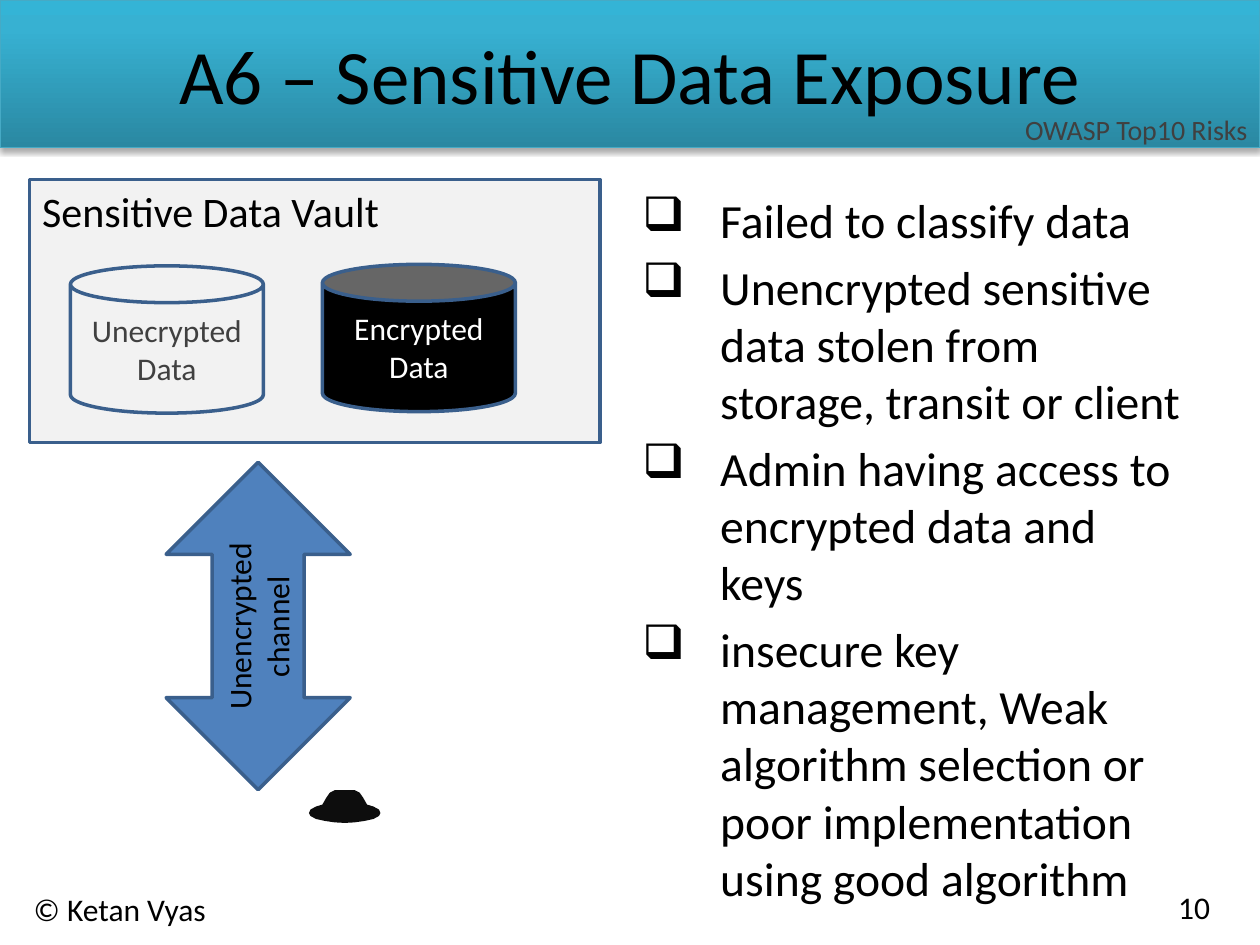
from copy import deepcopy
from dataclasses import dataclass

from lxml import etree
from pptx import Presentation
from pptx.dml.color import RGBColor
from pptx.enum import shapes, text
from pptx.oxml import ns
from pptx.util import Cm, Pt

FONT = "Calibri"
BLACK, GRAY, WHITE = "000000", "404040", "FFFFFF"
OUTLINE = "3A5F8C"
HAT = "0D0D0D"
CENTER, RIGHT = text.PP_ALIGN.CENTER, text.PP_ALIGN.RIGHT


@dataclass
class Box:
    left: float
    top: float
    width: float
    height: float

    def lengths(self) -> tuple:
        return Cm(self.left), Cm(self.top), Cm(self.width), Cm(self.height)


@dataclass
class Store:
    label: str
    box: Box
    fill: str | None
    color: str


@dataclass
class Label:
    lines: list[str]
    box: Box
    size: float = 18
    color: str = BLACK
    align: text.PP_ALIGN | None = None
    rotation: float = 0


STORES = [
    Store("Unecrypted Data", Box(1.42, 5.36, 3.89, 2.97), None, GRAY),
    Store("Encrypted Data", Box(6.5, 5.33, 3.89, 2.97), BLACK, WHITE),
]
LABELS = [
    Label(["© Ketan Vyas"], Box(0.43, 17.81, 6.99, 1.02)),
    Label(["10"], Box(23.5, 17.78, 1.7, 1.02)),
    Label(["Sensitive Data Vault"], Box(0.6, 3.62, 8, 1.27), size=24),
    Label(["Unencrypted", "channel"], Box(3.05, 11.73, 4.32, 1.8),
          align=CENTER, rotation=270),
    Label(["OWASP Top10 Risks"], Box(0, 2.15, 25.4, 0.94), size=16,
          color=GRAY, align=RIGHT),
]
RISKS = [
    "Failed to classify data",
    "Unencrypted sensitive data stolen from storage, transit or client",
    "Admin having access to encrypted data and keys",
    "insecure key management, Weak algorithm selection or poor "
    "implementation using good algorithm",
]
BANNER_STOPS = [(0, "2A88A2"), (0.8, "37B1D2"), (1, "34B4D6")]
HAT_CENTER = 6.95
# Right half of the hat from crown to brim: offset from its centre, and top
HAT_PROFILE = [
    (0, 15.97), (0.1, 15.93), (0.2, 15.93), (0.3, 15.98), (0.37, 16.08),
    (0.45, 16.22), (0.58, 16.26), (0.69, 16.32), (0.72, 16.39),
    (0.69, 16.45), (0.58, 16.51), (0.4, 16.55), (0.2, 16.58), (0, 16.59),
]


def rgb(value: str) -> RGBColor:
    return RGBColor.from_string(value)


def paint(shape, fill: str | None, line: str | None = None, width: float = 2) -> None:
    shape.shadow.inherit = False
    if fill:
        shape.fill.solid()
        shape.fill.fore_color.rgb = rgb(fill)
    else:
        shape.fill.background()
    if line:
        shape.line.color.rgb = rgb(line)
        shape.line.width = Pt(width)
    else:
        shape.line.fill.background()


def add_bullet(paragraph, symbol: str, indent: Cm) -> None:
    properties = paragraph._p.get_or_add_pPr()
    properties.set("marL", str(indent))
    properties.set("indent", str(-indent))
    etree.SubElement(properties, ns.qn("a:buChar"), char=symbol)


def write(shape, lines: list[str], *, size: float = 18, color: str = BLACK,
          align=None, anchor=text.MSO_ANCHOR.TOP, bullet: str | None = None,
          gap: float = 0) -> None:
    frame = shape.text_frame
    frame.word_wrap = True
    frame.auto_size = text.MSO_AUTO_SIZE.NONE
    frame.vertical_anchor = anchor
    for index, line in enumerate(lines):
        paragraph = frame.add_paragraph() if index else frame.paragraphs[0]
        paragraph.text = line
        if index and gap:
            paragraph.space_before = Pt(gap)
        if bullet:
            add_bullet(paragraph, bullet, Cm(1.57))
        if align is not None:
            paragraph.alignment = align
        paragraph.font.name = FONT
        paragraph.font.size = Pt(size)
        paragraph.font.color.rgb = rgb(color)


def add_banner(slide) -> None:
    """Draw the gradient band with its soft shadow, behind the title."""
    banner = slide.shapes.add_shape(
        shapes.MSO_SHAPE.RECTANGLE, *Box(0, 0, 25.4, 2.97).lengths())
    paint(banner, None, "46AAC5", 0.75)
    banner.fill.gradient()
    banner.fill.gradient_angle = 90
    stop_list = banner._element.spPr.find(".//" + ns.qn("a:gsLst"))
    stop_list.append(deepcopy(stop_list[0]))
    for stop, (position, color) in zip(banner.fill.gradient_stops, BANNER_STOPS):
        stop.position = position
        stop.color.rgb = rgb(color)
    effects = banner._element.spPr.find(ns.qn("a:effectLst"))
    shadow = etree.SubElement(
        effects, ns.qn("a:outerShdw"), blurRad=str(Pt(3.1)), dist=str(Pt(1.8)),
        dir="5400000", rotWithShape="0")
    shade = etree.SubElement(shadow, ns.qn("a:srgbClr"), val=BLACK)
    etree.SubElement(shade, ns.qn("a:alpha"), val="35000")
    slide.shapes._spTree.insert(2, banner._element)


def add_store(slide, store: Store) -> None:
    can = slide.shapes.add_shape(shapes.MSO_SHAPE.CAN, *store.box.lengths())
    paint(can, store.fill, OUTLINE)
    write(can, [store.label], color=store.color, align=CENTER,
          anchor=text.MSO_ANCHOR.MIDDLE)


def add_label(slide, label: Label) -> None:
    box = slide.shapes.add_textbox(*label.box.lengths())
    box.rotation = label.rotation
    write(box, label.lines, size=label.size, color=label.color, align=label.align)


def add_channel(slide) -> None:
    """Draw the two-way arrow: short heads on a shaft half its width."""
    arrow = slide.shapes.add_shape(
        shapes.MSO_SHAPE.UP_DOWN_ARROW, *Box(3.35, 9.32, 3.71, 6.6).lengths())
    head_length, shaft_width = 0.25, 0.5
    arrow.adjustments[0] = head_length
    arrow.adjustments[1] = shaft_width
    paint(arrow, "4F81BD", OUTLINE)


def add_hat(slide) -> None:
    group = slide.shapes.add_group_shape()
    right = [(HAT_CENTER + offset, top) for offset, top in HAT_PROFILE]
    left = [(HAT_CENTER - offset, top) for offset, top in HAT_PROFILE[-2:0:-1]]
    points = [(Cm(x), Cm(y)) for x, y in right + left]
    builder = group.shapes.build_freeform(*points[0])
    builder.add_line_segments(points[1:])
    paint(builder.convert_to_shape(), HAT)
    crown = group.shapes.add_shape(
        shapes.MSO_SHAPE.RECTANGLE, *Box(6.75, 15.93, 0.4, 0.08).lengths())
    paint(crown, HAT)


def main() -> None:
    presentation = Presentation()
    presentation.slide_width, presentation.slide_height = Cm(25.4), Cm(19.05)
    slide = presentation.slides.add_slide(presentation.slide_layouts[5])

    add_banner(slide)
    title = slide.shapes.title
    title.left, title.top, title.width, title.height = Box(
        1.27, 0.43, 22.86, 2.11).lengths()
    write(title, ["A6 – Sensitive Data Exposure"], size=44, align=CENTER,
          anchor=text.MSO_ANCHOR.MIDDLE)

    vault = slide.shapes.add_shape(
        shapes.MSO_SHAPE.RECTANGLE, *Box(0.6, 3.62, 11.5, 5.3).lengths())
    paint(vault, "F2F2F2", OUTLINE)
    for store in STORES:
        add_store(slide, store)

    add_channel(slide)
    add_hat(slide)

    risks = slide.shapes.add_textbox(*Box(12.7, 3.73, 11.43, 13.28).lengths())
    write(risks, RISKS, size=27.2, bullet="❑", gap=5.5)
    for label in LABELS:
        add_label(slide, label)

    presentation.save("out.pptx")


if __name__ == "__main__":
    main()
